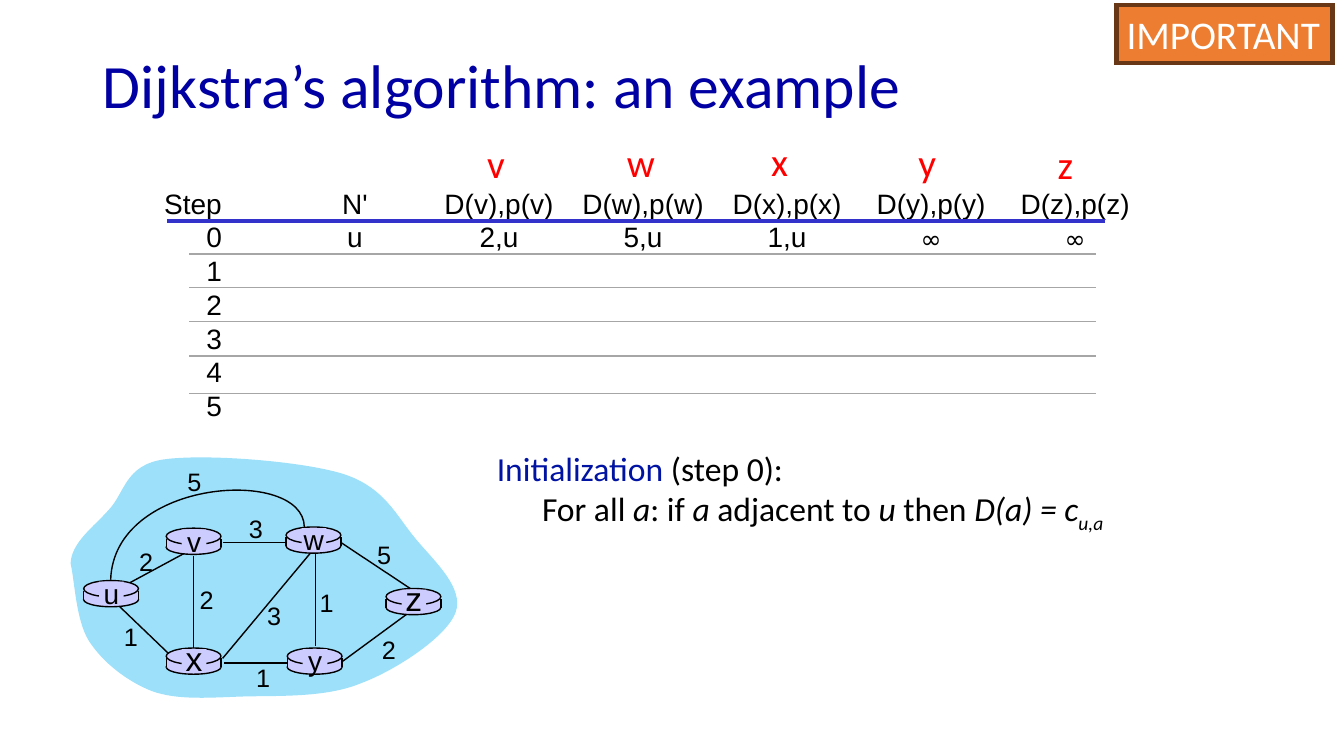
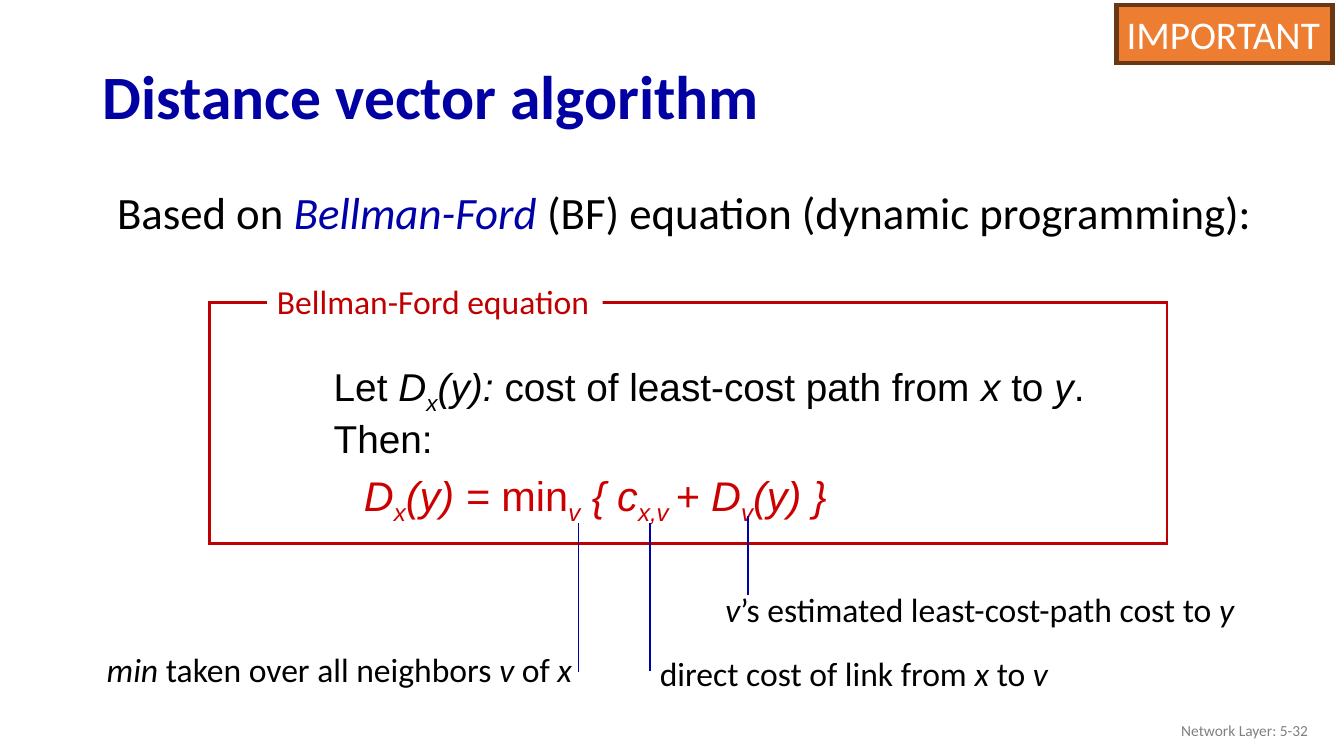
from lxml.etree import SubElement
from pptx import Presentation
from pptx.dml.color import RGBColor
from pptx.enum.shapes import MSO_CONNECTOR, MSO_SHAPE
from pptx.enum.text import MSO_ANCHOR, PP_ALIGN
from pptx.oxml.ns import qn
from pptx.util import Cm, Pt

BLACK = RGBColor(0x00, 0x00, 0x00)
WHITE = RGBColor(0xFF, 0xFF, 0xFF)
NAVY = RGBColor(0x00, 0x00, 0xA3)
TERM_BLUE = RGBColor(0x00, 0x13, 0xA3)
POINTER_BLUE = RGBColor(0x00, 0x00, 0xA8)
RULE_BLUE = RGBColor(0x33, 0x33, 0xCC)
RULE_GREY = RGBColor(0xA6, 0xA6, 0xA6)
FOOTER_GREY = RGBColor(0x80, 0x80, 0x80)
RED = RGBColor(0xFF, 0x00, 0x00)
EQUATION_RED = RGBColor(0xCC, 0x00, 0x00)
FRAME_RED = RGBColor(0xC0, 0x00, 0x00)
ORANGE = RGBColor(0xED, 0x7D, 0x31)
BROWN = RGBColor(0x68, 0x37, 0x15)
CLOUD_BLUE = RGBColor(0x9C, 0xE0, 0xFA)
LILAC = RGBColor(0xCC, 0xCC, 0xFF)

BODY_FONT = "Calibri"
DATA_FONT = "Arial"
SYMBOL_FONT = "Comic Neue"

# Rich text: a list of (text, flags, optional colour); i = italic, _ = subscript
INITIALIZATION = [("Initialization", "", TERM_BLUE), (" (step 0):", "")]
INITIAL_RULE = [
    ("For all ", ""), ("a", "i"), (": if ", ""), ("a", "i"), (" adjacent to ", ""),
    ("u", "i"), (" then ", ""), ("D(a) = c", "i"), ("u,a", "i_"),
]
INTRODUCTION = [
    ("Based on ", ""), ("Bellman-Ford", "i", POINTER_BLUE),
    (" (BF) equation (dynamic programming):", ""),
]
DEFINITION = [
    ("Let ", ""), ("D", "i"), ("x", "i_"), ("(y): ", "i"),
    ("cost of least-cost path from ", ""), ("x", "i"), (" to ", ""), ("y", "i"), (".", ""),
]
THEN = [("Then:", "")]
EQUATION = [
    ("D", "i"), ("x", "i_"), ("(y) = ", "i"), ("min", ""), ("v", "i_"), (" { c", "i"),
    ("x,v ", "i_"), ("+ D", "i"), ("v", "i_"), ("(y) }", "i"),
]

# Explanations: runs, text box (left, top, width, height), pointer (x, top, bottom)
EXPLANATIONS = [
    ([("min", "i"), (" taken over all neighbors", ""), (" v ", "i"), ("of ", ""), ("x", "i")],
     (2.44, 16.23, 12.34, 1.27), (14.58, 13.18, 16.94)),
    ([("v", "i"), ("’s estimated least-cost-path cost to ", ""), ("y", "i")],
     (18.03, 14.71, 13.49, 1.27), (18.85, 13, 14.99)),
    ([("direct cost of link from", ""), (" x ", "i"), ("to ", ""), ("v", "i")],
     (16.38, 16.33, 10.36, 1.27), (16.38, 13.18, 16.92)),
]

# Destination nodes: centre x and top of the red label
NODES = {
    "v": (12.5, 3.38), "w": (16.15, 3.35), "x": (19.65, 3.33),
    "y": (23.37, 3.35), "z": (26.85, 3.4),
}
STEP_ROWS = [
    ("Step", "N'", *(f"D({node}),p({node})" for node in NODES)),
    ("0", "u", "2,u", "5,u", "1,u", "∞", "∞"),
    *((str(step),) for step in range(1, 6)),
]
TABLE_LEFT, TABLE_TOP = 3.8, 4.76
STEP_WIDTH, STEP_MARGIN, COLUMN_WIDTH, ROW_HEIGHT = 3.33, 1.54, 3.63, 0.85
HEADER_RULE_Y = 5.57
ROW_RULES_Y = (6.4, 7.24, 8.1, 8.97, 9.91)

# Routers: left, top, label size
ROUTERS = {
    "u": (2.11, 14.63, 20), "v": (4.19, 13.31, 20), "w": (7.21, 13.28, 20),
    "x": (4.19, 16.33, 24), "y": (7.24, 16.33, 20), "z": (9.73, 14.83, 24),
}
ROUTER_WIDTH = 1.38

# Straight links: ends (x1, y1, x2, y2)
LINKS = [
    (3.28, 14.68, 4.78, 13.87), (7.95, 13.97, 7.95, 16.28), (4.88, 14, 4.88, 16.38),
    (5.61, 16.59, 7.82, 13.94), (8.64, 16.66, 10.26, 15.47), (5.64, 16.71, 7.26, 16.71),
    (3.02, 15.29, 4.24, 16.46), (5.61, 13.67, 7.24, 13.67), (8.59, 13.67, 10.34, 14.83),
]
# Link costs: text, centre x, centre y
COSTS = [
    ("2", 3.68, 14.15), ("1", 8.23, 15.19), ("2", 5.21, 15.11), ("3", 6.91, 15.52),
    ("2", 9.8, 16.36), ("1", 6.63, 17.07), ("1", 3.3, 16.05), ("3", 6.45, 13.31),
    ("5", 9.68, 13.97), ("5", 4.9, 12.14),
]
# Bézier outlines: a start point, then two control points and an end per piece
ARC = [(7.67, 13.28), (7.65, 11.76), (2.87, 12.04), (2.79, 14.61)]
CLOUD = [
    (1.78, 14.2), (1.8, 13.67), (2.36, 13.28), (2.74, 12.85),
    (3.15, 12.42), (3.15, 11.73), (4.11, 11.58), (5.11, 11.43), (7.57, 11.61), (8.64, 11.94),
    (9.68, 12.27), (9.98, 12.98), (10.46, 13.56), (10.95, 14.15), (11.71, 14.81), (11.48, 15.44),
    (11.25, 16.05), (9.98, 16.89), (9.09, 17.22), (8.23, 17.58), (7.04, 17.53), (6.17, 17.55),
    (5.28, 17.58), (4.5, 17.65), (3.84, 17.42), (3.2, 17.17), (2.59, 16.69), (2.24, 16.15),
    (1.91, 15.62), (1.88, 14.61), (1.78, 14.2),
]


def write(paragraph, runs, size, font=BODY_FONT, color=BLACK, align=PP_ALIGN.LEFT,
          indent=0, line_spacing=None, space_before=None, bold=False):
    """Fill a paragraph from plain text or a list of rich-text runs."""
    paragraph.alignment = align
    if line_spacing:
        paragraph.line_spacing = line_spacing
    if space_before:
        paragraph.space_before = Pt(space_before)
    if indent:
        properties = paragraph._p.get_or_add_pPr()
        properties.set("marL", str(Cm(indent)))
        properties.set("indent", "0")
    for text, flags, *own_color in [(runs, "")] if isinstance(runs, str) else runs:
        run = paragraph.add_run()
        run.text = text
        run.font.name, run.font.size, run.font.bold = font, Pt(size), bold
        run.font.italic = "i" in flags
        run.font.color.rgb = own_color[0] if own_color else color
        if "_" in flags:
            run._r.get_or_add_rPr().set("baseline", "-25000")


def add_text(slide, box, runs, size, wrap=False, **style):
    text_box = slide.shapes.add_textbox(*map(Cm, box))
    text_box.text_frame.word_wrap = wrap
    write(text_box.text_frame.paragraphs[0], runs, size, **style)
    return text_box


def paint(shape, fill=None, line=None, width=1):
    shape.shadow.inherit = False
    if fill is None:
        shape.fill.background()
    else:
        shape.fill.solid()
        shape.fill.fore_color.rgb = fill
    if line is None:
        shape.line.fill.background()
    else:
        shape.line.color.rgb = line
        shape.line.width = Pt(width)
        outline = shape._element.spPr.find(qn("a:ln"))
        SubElement(outline, qn("a:miter")).set("lim", "800000")


def add_block(shapes, kind, box, **look):
    shape = shapes.add_shape(kind, *map(Cm, box))
    paint(shape, **look)
    return shape


def add_line(shapes, ends, color=BLACK, width=1):
    connector = shapes.add_connector(MSO_CONNECTOR.STRAIGHT, *map(Cm, ends))
    connector.line.color.rgb = color
    connector.line.width = Pt(width)
    SubElement(connector._element.spPr, qn("a:effectLst"))


def add_curve(slide, points, close, **look):
    """Draw a chain of cubic Bézier pieces."""
    start, *others = [tuple(map(Cm, point)) for point in points]
    builder = slide.shapes.build_freeform(*start)
    builder.add_line_segments(others, close=close)
    shape = builder.convert_to_shape()
    segments = list(shape._element.iter(qn("a:lnTo")))
    for first in range(0, len(others), 3):
        piece = segments[first:first + 3]
        curve = SubElement(piece[0].getparent(), qn("a:cubicBezTo"))
        piece[0].addprevious(curve)
        for segment in piece:
            curve.append(segment[0])
            segment.getparent().remove(segment)
    paint(shape, **look)


def add_slide(presentation, title, box, bold=False):
    """Add a title-only slide with the shared title style and badge."""
    slide = presentation.slides.add_slide(presentation.slide_layouts[5])
    placeholder = slide.shapes.title
    placeholder.left, placeholder.top, placeholder.width, placeholder.height = map(Cm, box)
    placeholder.text_frame.vertical_anchor = MSO_ANCHOR.MIDDLE
    write(placeholder.text_frame.paragraphs[0], title, 44, color=NAVY,
          line_spacing=0.9, bold=bold)
    badge = add_block(slide.shapes, MSO_SHAPE.RECTANGLE, (28.14, 0.13, 5.44, 1.45),
                      fill=ORANGE, line=BROWN, width=3)
    badge.text_frame.word_wrap = False
    write(badge.text_frame.paragraphs[0], "IMPORTANT", 28, color=WHITE)
    return slide


def add_step_table(slide):
    column_count, row_count = len(STEP_ROWS[0]), len(STEP_ROWS)
    widths = [STEP_WIDTH] + [COLUMN_WIDTH] * (column_count - 1)
    table = slide.shapes.add_table(
        row_count, column_count, Cm(TABLE_LEFT), Cm(TABLE_TOP),
        Cm(sum(widths)), Cm(row_count * ROW_HEIGHT)).table
    table.first_row = table.horz_banding = False
    for column, width in zip(table.columns, widths):
        column.width = Cm(width)
    for row, values in zip(table.rows, STEP_ROWS):
        row.height = Cm(ROW_HEIGHT)
        for cell in row.cells:
            cell.fill.background()
            cell.margin_left = cell.margin_right = cell.margin_top = cell.margin_bottom = 0
        row.cells[0].margin_right = Cm(STEP_MARGIN)
        for column_index, text in enumerate(values):
            cell = row.cells[column_index]
            size, font = 20, DATA_FONT
            if text == "∞":
                size, font = 18, SYMBOL_FONT
                cell.margin_top = Cm(0.08)
            align = PP_ALIGN.CENTER if column_index else PP_ALIGN.RIGHT
            write(cell.text_frame.paragraphs[0], text, size, font=font, align=align)

    for node, (x, top) in NODES.items():
        add_text(slide, (x - 0.6, top, 1.2, 1.45), node, 28, color=RED, align=PP_ALIGN.CENTER)
    add_line(slide.shapes, (4.22, HEADER_RULE_Y, 27.84, HEADER_RULE_Y), RULE_BLUE, 2.25)
    for y in ROW_RULES_Y:
        add_line(slide.shapes, (4.77, y, 27.63, y), RULE_GREY)


def add_router(slide, name, left, top, size):
    shapes = slide.shapes.add_group_shape().shapes
    outlined = {"fill": LILAC, "line": BLACK}
    add_block(shapes, MSO_SHAPE.OVAL, (left, top + 0.3, ROUTER_WIDTH, 0.36), **outlined)
    add_block(shapes, MSO_SHAPE.RECTANGLE, (left, top + 0.26, ROUTER_WIDTH, 0.22), fill=LILAC)
    for x in (left, left + ROUTER_WIDTH):
        add_line(shapes, (x, top + 0.26, x, top + 0.48))
    add_block(shapes, MSO_SHAPE.OVAL, (left, top, ROUTER_WIDTH, 0.41), **outlined)
    label = add_block(shapes, MSO_SHAPE.RECTANGLE, (left + 0.39, top + 0.03, 0.62, 0.58),
                      fill=LILAC)
    frame = label.text_frame
    frame.word_wrap = False
    frame.vertical_anchor = MSO_ANCHOR.MIDDLE
    frame.margin_left = frame.margin_right = frame.margin_top = 0
    frame.margin_bottom = Cm(0.14 if size > 20 else 0)
    write(frame.paragraphs[0], name, size, font=DATA_FONT, align=PP_ALIGN.CENTER)


def add_network(slide):
    add_curve(slide, CLOUD, True, fill=CLOUD_BLUE)
    for ends in LINKS:
        add_line(slide.shapes, ends)
    add_curve(slide, ARC, False, line=BLACK)
    for name, (left, top, size) in ROUTERS.items():
        add_router(slide, name, left, top, size)
    for cost, x, y in COSTS:
        add_text(slide, (x - 0.43, y - 0.51, 0.86, 1.02), cost, 18,
                 font=DATA_FONT, align=PP_ALIGN.CENTER)


def build_dijkstra(presentation):
    slide = add_slide(presentation, "Dijkstra’s algorithm: an example",
                      (2.34, 0.99, 31.06, 2.49))
    add_step_table(slide)
    add_network(slide)
    text_box = add_text(slide, (12.27, 11.28, 17.12, 2.11), INITIALIZATION, 24,
                        wrap=True, line_spacing=0.9)
    write(text_box.text_frame.add_paragraph(), INITIAL_RULE, 24, indent=1.14, line_spacing=0.9)


def build_distance_vector(presentation):
    slide = add_slide(presentation, "Distance vector algorithm",
                      (2.34, 1.26, 29.21, 2.49), bold=True)
    spacing = {"line_spacing": 0.8, "space_before": 10}
    add_text(slide, (2.34, 4.8, 30.05, 1.45), INTRODUCTION, 32, wrap=True,
             indent=0.36, **spacing)

    frame = add_text(slide, (7.8, 9.14, 22.1, 5.49), DEFINITION, 27.7, wrap=True,
                     font=DATA_FONT, indent=0.36, **spacing).text_frame
    write(frame.add_paragraph(), THEN, 27.7, font=DATA_FONT, indent=0.36, **spacing)
    write(frame.add_paragraph(), EQUATION, 29.6, font=DATA_FONT, color=EQUATION_RED,
          indent=1.12, **spacing)
    add_block(slide.shapes, MSO_SHAPE.RECTANGLE, (5.28, 7.62, 24.13, 6.07),
              line=FRAME_RED, width=2)
    caption = add_text(slide, (6.73, 6.96, 8.46, 1.27), "Bellman-Ford equation", 24,
                       wrap=True, color=FRAME_RED)
    paint(caption, fill=WHITE)

    for runs, box, (x, top, bottom) in EXPLANATIONS:
        add_text(slide, box, runs, 24)
        add_line(slide.shapes, (x, top, x, bottom), POINTER_BLUE)
    footer = add_text(slide, (25.6, 17.9, 7.62, 1.02), "Network Layer: 5-32", 11,
                      wrap=True, color=FOOTER_GREY, align=PP_ALIGN.RIGHT)
    footer.text_frame.vertical_anchor = MSO_ANCHOR.MIDDLE


def main():
    presentation = Presentation()
    presentation.slide_width, presentation.slide_height = Cm(33.87), Cm(19.05)
    build_dijkstra(presentation)
    build_distance_vector(presentation)
    presentation.save("out.pptx")


if __name__ == "__main__":
    main()
